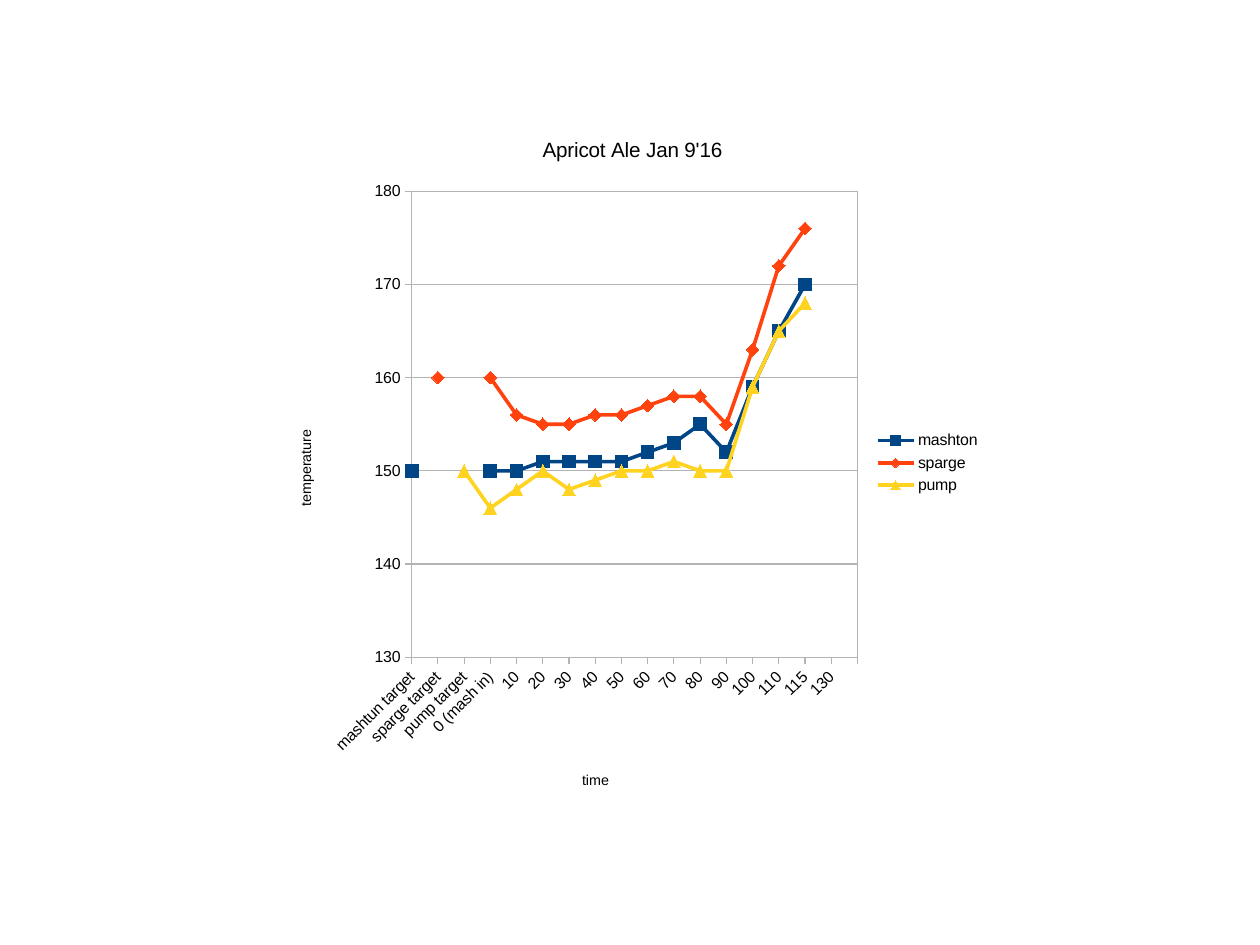
from lxml import etree
from pptx import Presentation
from pptx.chart.data import CategoryChartData
from pptx.dml.color import RGBColor
from pptx.enum.chart import XL_CHART_TYPE, XL_LEGEND_POSITION, XL_MARKER_STYLE, XL_TICK_MARK
from pptx.oxml import parse_xml
from pptx.oxml.ns import nsdecls, qn
from pptx.util import Pt

LINE_MARKERS = XL_CHART_TYPE.LINE_MARKERS
LEGEND_RIGHT = XL_LEGEND_POSITION.RIGHT
TICK_OUT = XL_TICK_MARK.OUTSIDE
TICK_NONE = XL_TICK_MARK.NONE
SQUARE = XL_MARKER_STYLE.SQUARE
DIAMOND = XL_MARKER_STYLE.DIAMOND
TRIANGLE = XL_MARKER_STYLE.TRIANGLE

FONT = "Arial"
CHART_WIDTH = Pt(453)
CHART_HEIGHT = Pt(440.6)
COLORS = {
    "text": "000000",
    "grid": "B3B3B3",
    "mashton": "004586",
    "sparge": "FF420E",
    "pump": "FFD320",
}
MARKERS = {"mashton": SQUARE, "sparge": DIAMOND, "pump": TRIANGLE}
TIMES = ["mashtun target", "sparge target", "pump target", "0 (mash in)",
         "10", "20", "30", "40", "50", "60", "70", "80", "90",
         "100", "110", "115", "130", ""]
TEMPERATURES = {
    "mashton": [150, None, None, 150, 150, 151, 151, 151, 151, 152, 153, 155,
                152, 159, 165, 170, None, None],
    "sparge": [None, 160, None, 160, 156, 155, 155, 156, 156, 157, 158, 158,
               155, 163, 172, 176, None, None],
    "pump": [None, None, 150, 146, 148, 150, 148, 149, 150, 150, 151, 150,
             150, 159, 165, 168, None, None],
}


def color(name):
    return RGBColor.from_string(COLORS[name])


def format_font(font, size):
    font.name = FONT
    font.size = Pt(size)
    font.bold = False
    font.color.rgb = color("text")


def format_line(line, name, width=0):
    line.width = Pt(width)
    line.color.rgb = color(name)


def place(element, index, **lengths):
    for layout in element.findall(qn("c:layout")):
        element.remove(layout)
    layout = etree.Element(qn("c:layout"))
    manual = etree.SubElement(layout, qn("c:manualLayout"))
    if "w" in lengths:
        etree.SubElement(manual, qn("c:layoutTarget"), val="inner")
    for side in ("x", "y"):
        etree.SubElement(manual, qn(f"c:{side}Mode"), val="edge")
    for key, length in lengths.items():
        whole = CHART_WIDTH if key in ("x", "w") else CHART_HEIGHT
        etree.SubElement(manual, qn(f"c:{key}"), val=str(length / whole))
    element.insert(index, layout)


def write_title(title, text, *, size, x, y, rotation=0):
    frame = title.text_frame
    run = frame.paragraphs[0].add_run()
    run.text = text
    format_font(run.font, size)
    frame._txBody.bodyPr.set("rot", str(rotation * 60000))
    place(title._element, 1, x=x, y=y)


def format_axis(axis):
    axis.major_tick_mark = TICK_OUT
    axis.minor_tick_mark = TICK_NONE
    format_line(axis.format.line, "grid")
    format_font(axis.tick_labels.font, 10)


def format_time_axis(axis):
    format_axis(axis)
    axis.has_major_gridlines = False
    axis._element.txPr.bodyPr.set("rot", str(-45 * 60000))
    write_title(axis.axis_title, "time", size=9, x=Pt(193), y=Pt(412.3))


def format_temperature_axis(axis):
    format_axis(axis)
    axis.minimum_scale = 130
    axis.maximum_scale = 180
    axis.major_unit = 10
    axis.has_major_gridlines = True
    format_line(axis.major_gridlines.format.line, "grid")
    write_title(axis.axis_title, "temperature", size=9,
                x=Pt(13), y=Pt(197.7), rotation=-90)
    for setting in axis._element.findall(qn("c:crossBetween")):
        axis._element.remove(setting)
    on_ticks = etree.Element(qn("c:crossBetween"), val="midCat")
    axis._element.find(qn("c:crosses")).addnext(on_ticks)


def format_series(series):
    format_line(series.format.line, series.name, 2.27)
    series.smooth = False
    marker = series.marker
    marker.style = MARKERS[series.name]
    marker.size = 8
    marker.format.fill.solid()
    marker.format.fill.fore_color.rgb = color(series.name)
    format_line(marker.format.line, series.name)


def format_plot_area(chart):
    plot_area = chart._chartSpace.chart.plotArea
    place(plot_area, 0, x=Pt(87.3), y=Pt(49.2), w=Pt(280.9), h=Pt(293.6))
    plot_area.append(parse_xml(
        f'<c:spPr {nsdecls("c", "a")}><a:noFill/><a:ln w="0"><a:solidFill>'
        f'<a:srgbClr val="{COLORS["grid"]}"/></a:solidFill></a:ln></c:spPr>'))


def add_temperature_chart(slide):
    data = CategoryChartData()
    data.categories = TIMES
    for vessel, readings in TEMPERATURES.items():
        data.add_series(vessel, readings)
    chart = slide.shapes.add_chart(
        LINE_MARKERS, Pt(172), Pt(71.3), CHART_WIDTH, CHART_HEIGHT, data).chart
    format_font(chart.font, 10)
    chart.has_title = True
    write_title(chart.chart_title, "Apricot Ale Jan 9'16", size=13,
                x=Pt(167.4), y=Pt(12.6))
    chart.has_legend = True
    chart.legend.position = LEGEND_RIGHT
    chart.legend.include_in_layout = False
    format_font(chart.legend.font, 10)
    format_time_axis(chart.category_axis)
    format_temperature_axis(chart.value_axis)
    plot = chart.plots[0]
    plot.vary_by_categories = False
    for series in plot.series:
        format_series(series)
    format_plot_area(chart)


def main():
    presentation = Presentation()
    presentation.slide_width = Pt(793.7)
    presentation.slide_height = Pt(595.28)
    slide = presentation.slides.add_slide(presentation.slide_layouts[6])
    add_temperature_chart(slide)
    presentation.save("out.pptx")


if __name__ == "__main__":
    main()
